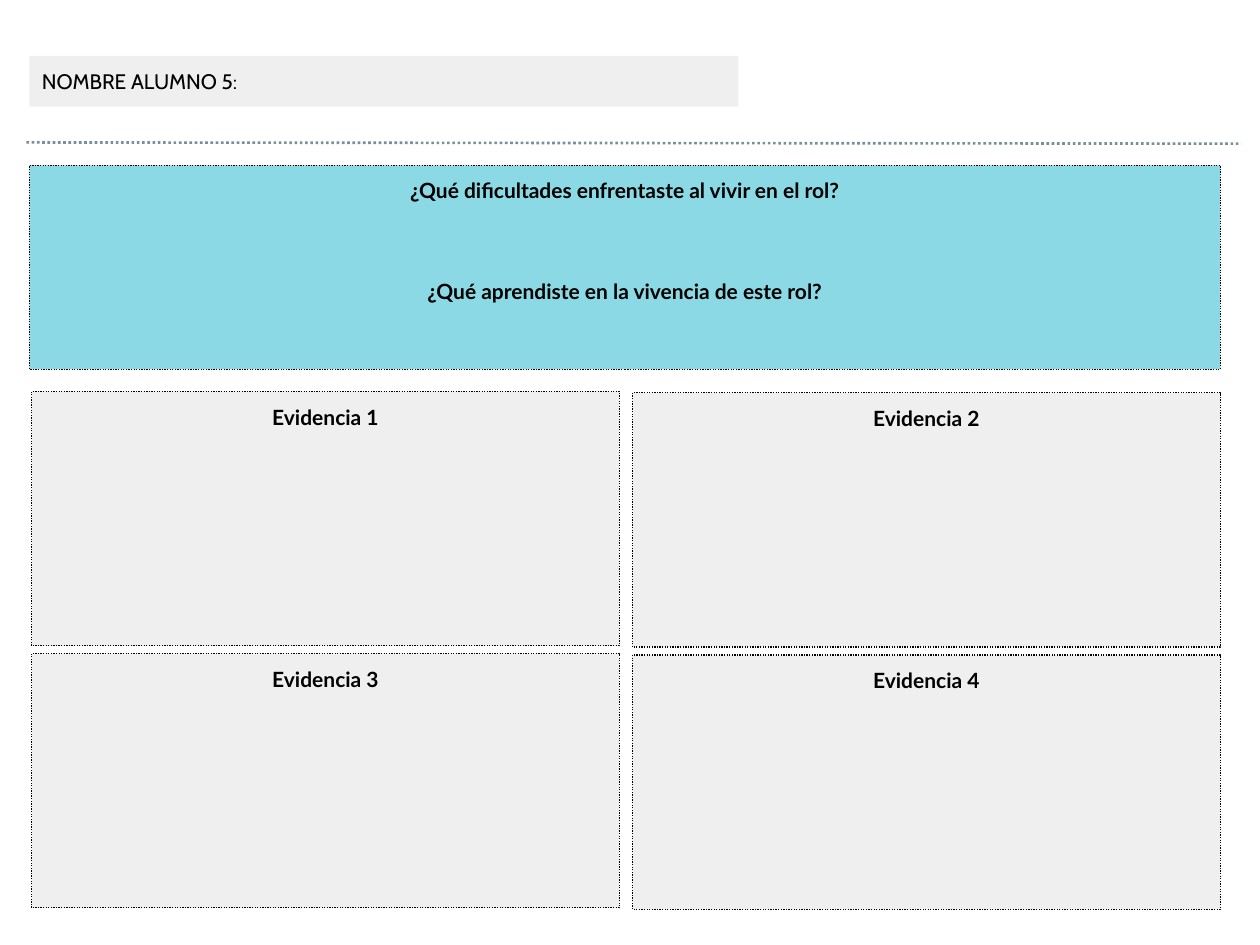
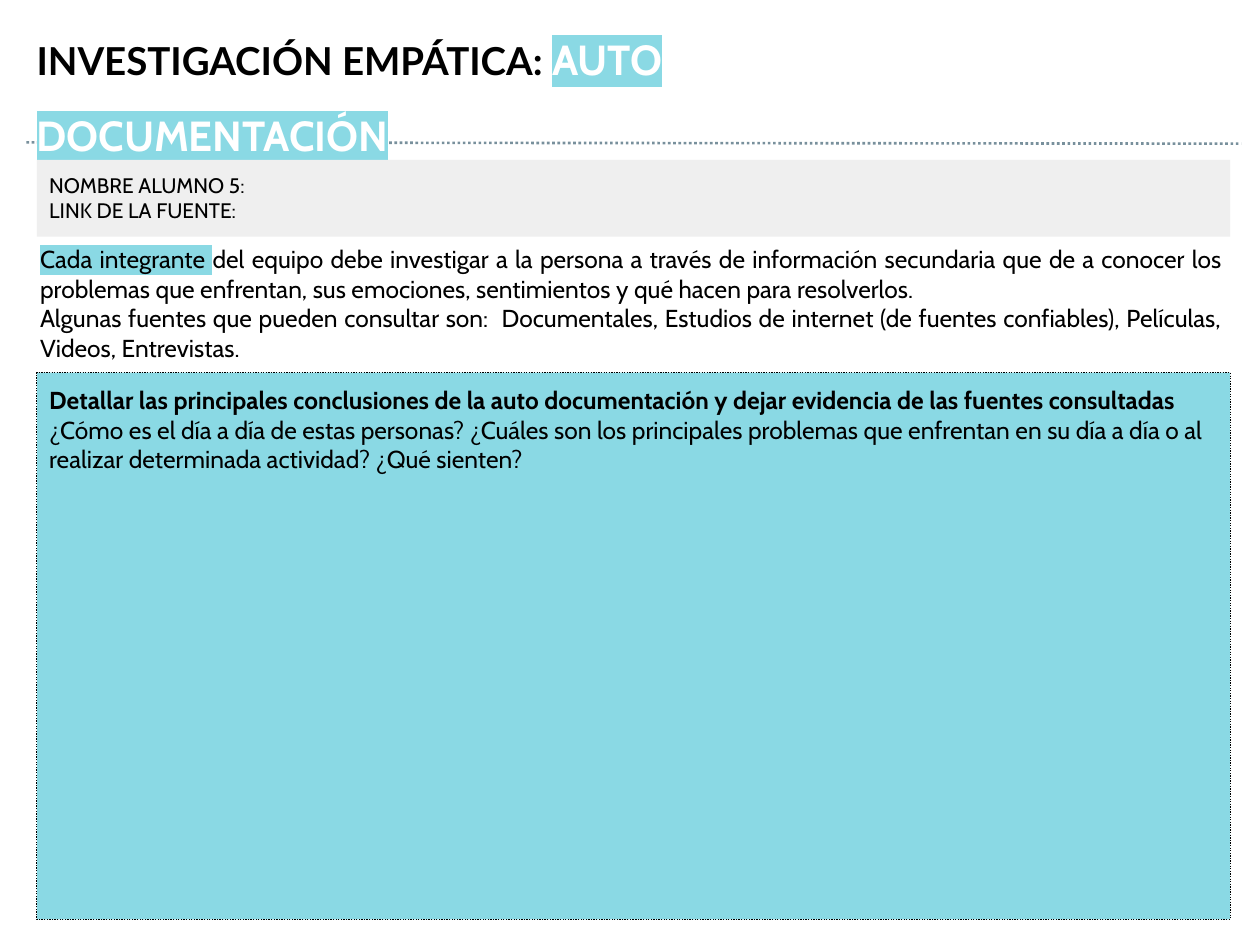
from dataclasses import dataclass, field

from lxml import etree
from pptx import Presentation
from pptx.dml.color import RGBColor
from pptx.enum import dml, shapes, text
from pptx.oxml import ns
from pptx.util import Pt

COLORS = {
    "ink": "000000",
    "white": "FFFFFF",
    "aqua": "8AD9E4",
    "gray": "EFEFEF",
    "rule": "78909C",
}
BODY_FONT, HEADING_FONT = "Cabin", "Lato"
ALIGN = text.PP_ALIGN


@dataclass
class Run:
    text: str
    bold: bool | None = None
    highlight: str | None = None


@dataclass
class Line:
    runs: list[Run]
    size: float = 12
    font: str = BODY_FONT
    bold: bool = False
    align: ALIGN = ALIGN.LEFT
    space_before: float = 0


@dataclass
class Panel:
    left: float
    top: float
    width: float
    height: float
    fill: str
    outlined: bool = True
    lines: list[Line] = field(default_factory=list)


def rgb(name: str) -> RGBColor:
    return RGBColor.from_string(COLORS[name])


def plain(content: str, **style) -> Line:
    return Line([Run(content)], **style)


def heading(content: str, space_before: float = 0) -> Line:
    return plain(content, font=HEADING_FONT, bold=True, align=ALIGN.CENTER,
                 space_before=space_before)


def style_dotted(outline, color: str, width: float) -> None:
    outline.color.rgb = rgb(color)
    outline.width = Pt(width)
    outline.dash_style = dml.MSO_LINE.ROUND_DOT


def highlight(run, color: str) -> None:
    """Mark a run whose font colour is already set."""
    mark = etree.Element(ns.qn("a:highlight"))
    etree.SubElement(mark, ns.qn("a:srgbClr"), val=COLORS[color])
    run.font.fill._xPr.find(ns.qn("a:solidFill")).addnext(mark)


def prepare_frame(frame, inset_y: float = 7.2) -> None:
    frame.word_wrap = True
    frame.auto_size = text.MSO_AUTO_SIZE.NONE
    frame.vertical_anchor = text.MSO_ANCHOR.TOP
    frame.margin_left = frame.margin_right = Pt(7.2)
    frame.margin_top = frame.margin_bottom = Pt(inset_y)


def write_lines(frame, lines: list[Line]) -> None:
    for index, line in enumerate(lines):
        paragraph = frame.add_paragraph() if index else frame.paragraphs[0]
        paragraph.alignment = line.align
        paragraph.space_before = Pt(line.space_before)
        paragraph.font.name = line.font
        paragraph.font.size = Pt(line.size)
        paragraph.font.bold = line.bold
        for part in line.runs:
            run = paragraph.add_run()
            run.text = part.text
            run.font.color.rgb = rgb("ink")
            if part.highlight:
                highlight(run, part.highlight)


def draw_panel(slide, panel: Panel) -> None:
    box = slide.shapes.add_shape(
        shapes.MSO_SHAPE.RECTANGLE,
        Pt(panel.left), Pt(panel.top), Pt(panel.width), Pt(panel.height))
    box.shadow.inherit = False
    box.fill.solid()
    box.fill.fore_color.rgb = rgb(panel.fill)
    if panel.outlined:
        style_dotted(box.line, "ink", 0.75)
    else:
        box.line.fill.background()
    prepare_frame(box.text_frame)
    write_lines(box.text_frame, panel.lines)


def add_master_rule(prs, slide) -> None:
    """Draw the dotted rule once and move it to the master."""
    rule = slide.shapes.add_connector(
        shapes.MSO_CONNECTOR.STRAIGHT, Pt(15.1), Pt(81.4), Pt(709.2), Pt(82.1))
    style_dotted(rule.line, "rule", 1.5)
    etree.SubElement(rule.element.spPr, ns.qn("a:effectLst"))
    prs.slide_master.element.cSld.spTree.append(rule.element)


def build_evidence(slide) -> None:
    draw_panel(slide, Panel(16.8, 94.5, 680.6, 116.5, "aqua", lines=[
        heading("¿Qué dificultades enfrentaste al vivir en el rol?"),
        heading("¿Qué aprendiste en la vivencia de este rol?", space_before=43.2),
    ]))
    for index in range(4):
        row, column = divmod(index, 2)
        draw_panel(slide, Panel(
            18 + column * 343.4, 223.7 + row * 149.8 + column * 0.8,
            336, 145.3, "gray", lines=[heading(f"Evidencia {index + 1}")]))
    draw_panel(slide, Panel(16.8, 31.9, 405.2, 29, "gray", outlined=False,
                            lines=[plain("NOMBRE ALUMNO 5:")]))


def write_title(title) -> None:
    title.left, title.top, title.width, title.height = map(Pt, (13.7, -2.2, 394.6, 40.3))
    prepare_frame(title.text_frame)
    paragraph = title.text_frame.paragraphs[0]
    paragraph.alignment = ALIGN.LEFT
    paragraph.line_spacing = 1.5
    paragraph.space_after = Pt(16)
    paragraph.font.bold = True
    for content, font, size, color in (
            ("INVESTIGACIÓN EMPÁTICA: ", HEADING_FONT, 22, "ink"),
            ("AUTO DOCUMENTACIÓN", BODY_FONT, 24, "white")):
        run = paragraph.add_run()
        run.text = content
        run.font.name = font
        run.font.size = Pt(size)
        run.font.color.rgb = rgb(color)
    highlight(run, "aqua")


def build_research(slide) -> None:
    instructions = slide.shapes.add_textbox(Pt(15.8), Pt(136.1), Pt(689.8), Pt(56.9))
    prepare_frame(instructions.text_frame, inset_y=3.6)
    write_lines(instructions.text_frame, [
        Line([Run("Cada integrante ", highlight="aqua"),
              Run("del equipo debe investigar a la persona a través de información "
                  "secundaria que de a conocer los problemas que enfrentan, sus "
                  "emociones, sentimientos y qué hacen para resolverlos.")],
             size=14, align=ALIGN.JUSTIFY),
        plain("Algunas fuentes que pueden consultar son:  Documentales, Estudios de "
              "internet (de fuentes confiables), Películas, Videos, Entrevistas.",
              size=14, align=ALIGN.JUSTIFY),
    ])
    draw_panel(slide, Panel(21, 213, 682, 312.4, "aqua", lines=[
        plain("Detallar las principales conclusiones de la auto documentación y dejar "
              "evidencia de las fuentes consultadas", size=14, bold=True),
        plain("¿Cómo es el día a día de estas personas? ¿Cuáles son los principales "
              "problemas que enfrentan en su día a día o al realizar determinada "
              "actividad? ¿Qué sienten?", size=14),
    ]))
    write_title(slide.shapes.title)
    draw_panel(slide, Panel(21, 91.3, 682, 43.9, "gray", outlined=False, lines=[
        plain("NOMBRE ALUMNO 5:"), plain("LINK DE LA FUENTE:")]))


def main() -> None:
    prs = Presentation()
    prs.slide_width, prs.slide_height = Pt(720), Pt(540)
    title_only, blank = prs.slide_layouts[5], prs.slide_layouts[6]
    evidence = prs.slides.add_slide(blank)
    add_master_rule(prs, evidence)
    build_evidence(evidence)
    build_research(prs.slides.add_slide(title_only))
    prs.save("out.pptx")


if __name__ == "__main__":
    main()
